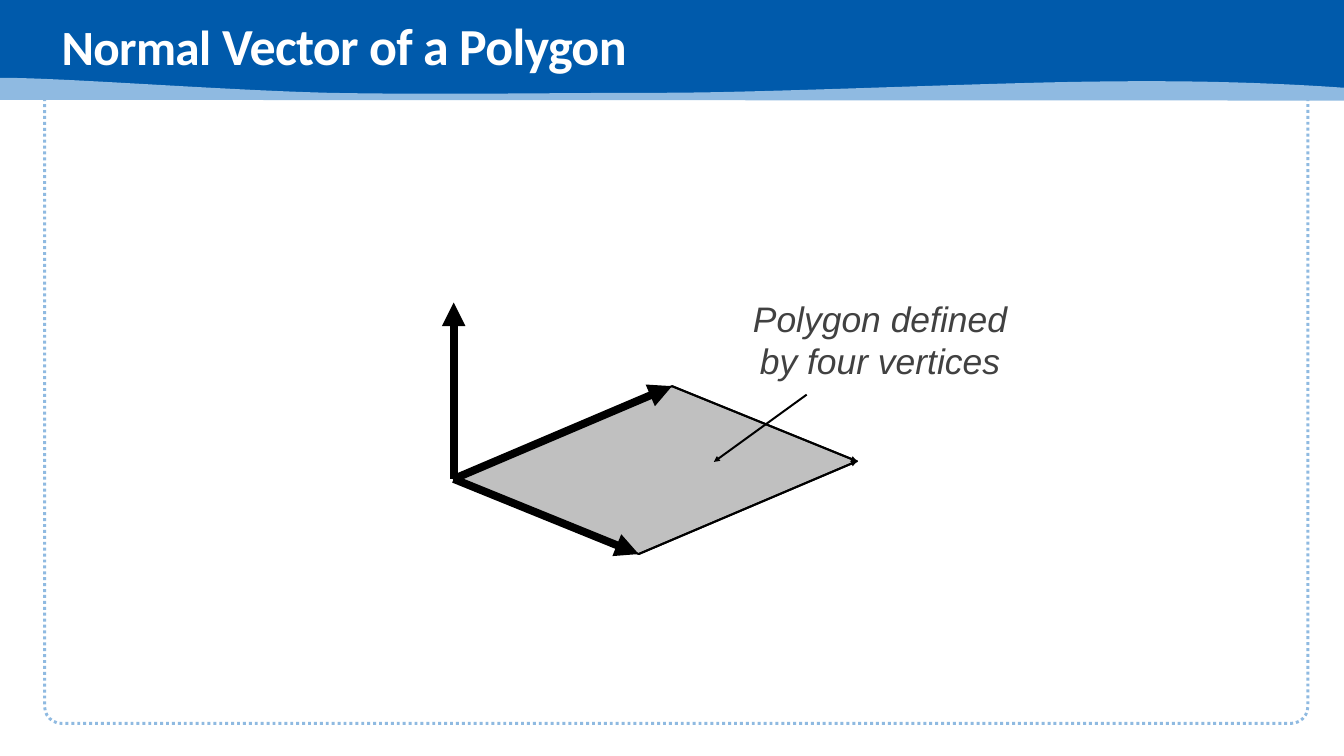
from lxml import etree
from pptx import Presentation
from pptx import util as u
from pptx.dml import color
from pptx.enum import dml, shapes, text
from pptx.oxml import ns

Pt = u.Pt
WHITE = color.RGBColor(0xFF, 0xFF, 0xFF)
BLACK = color.RGBColor(0x00, 0x00, 0x00)
BLUE = color.RGBColor(0x00, 0x5A, 0xAB)
LIGHT_BLUE = color.RGBColor(0x8F, 0xBA, 0xE1)
GREY = color.RGBColor(0xC0, 0xC0, 0xC0)
DARK_GREY = color.RGBColor(0x41, 0x41, 0x41)

WIDTH, HEIGHT = 1365.12, 768.24

# Lower edge of the header: each curve is two controls and an end point
WAVE_START = (1365.84, 89.28)
WAVE_CURVES = [
    ((1325.52, 86.4), (1241.28, 81.36), (1125.36, 82.8)),
    ((1010.16, 83.52), (782.64, 94.32), (670.32, 94.32)),
    ((558, 94.32), (444.96, 96.48), (332.64, 94.32)),
    ((221.04, 91.44), (56.16, 78.48), (0, 79.2)),
]
WAVE_BASE = [(-0.72, 101.52), (1365.84, 102.24)]

# Polygon corners and the tip of the normal
ORIGIN = (460.8, 486.72)
BACK = (682.56, 392.4)
FRONT = (648.72, 563.04)
OPPOSITE = tuple(b + f - o for b, f, o in zip(BACK, FRONT, ORIGIN))
NORMAL_TIP = (ORIGIN[0], 307.44)


def paint(shape, fill=None, line=None, weight=1):
    shape.shadow.inherit = False
    if fill is None:
        shape.fill.background()
    else:
        shape.fill.solid()
        shape.fill.fore_color.rgb = fill
    if line is None:
        shape.line.fill.background()
    else:
        shape.line.color.rgb = line
        shape.line.width = Pt(weight)


def add_preset(page, kind, left, top, width, height, **style):
    shape = page.shapes.add_shape(kind, Pt(left), Pt(top), Pt(width), Pt(height))
    paint(shape, **style)
    return shape


def add_outline(page, points, **style):
    corners = [(Pt(x), Pt(y)) for x, y in points]
    builder = page.shapes.build_freeform(*corners[0])
    builder.add_line_segments(corners[1:], close=True)
    paint(builder.convert_to_shape(), **style)


def add_arrow(page, start, end, weight):
    arrow = page.shapes.add_connector(
        shapes.MSO_CONNECTOR.STRAIGHT, *(Pt(value) for value in start + end))
    arrow.line.color.rgb = BLACK
    arrow.line.width = Pt(weight)
    properties = arrow.element.spPr
    line = properties.find(ns.qn("a:ln"))
    etree.SubElement(line, ns.qn("a:tailEnd"), type="triangle")
    etree.SubElement(properties, ns.qn("a:effectLst"))


def write(para, words, size, font, ink, bold=False, italic=False, spacing=0):
    for index, line in enumerate(words.split("\n")):
        if index:
            para.add_line_break()
        span = para.add_run()
        span.text = line
        span.font.size = Pt(size)
        span.font.name = font
        span.font.color.rgb = ink
        span.font.bold = bold
        span.font.italic = italic
        if spacing:
            span.font._element.set("spc", str(round(spacing * 100)))


def curve_points(start, curves, steps=24):
    points = [start]
    for first, second, end in curves:
        begin = points[-1]
        for step in range(1, steps + 1):
            t = step / steps
            s = 1 - t
            points.append(tuple(
                s**3 * a + 3 * s**2 * t * b + 3 * s * t**2 * c + t**3 * d
                for a, b, c, d in zip(begin, first, second, end)))
    return points


def add_background(page):
    frame = add_preset(page, shapes.MSO_SHAPE.ROUNDED_RECTANGLE,
                       45.36, 20.88, 1283.04, 714.24, line=LIGHT_BLUE, weight=3)
    frame.adjustments[0] = 0.024
    frame.line.dash_style = dml.MSO_LINE.ROUND_DOT
    add_preset(page, shapes.MSO_SHAPE.RECTANGLE, 0, 0, WIDTH, 100.8, fill=BLUE)
    wave = WAVE_BASE + curve_points(WAVE_START, WAVE_CURVES)
    add_outline(page, wave, fill=LIGHT_BLUE)


def add_title(page):
    title = page.shapes.title
    title.left, title.top = Pt(55.44), Pt(10.08)
    title.width, title.height = Pt(1262.88), Pt(79.92)
    # Bring the title in front of the header band
    title.element.getparent().append(title.element)
    frame = title.text_frame
    frame.auto_size = text.MSO_AUTO_SIZE.NONE
    frame.vertical_anchor = text.MSO_ANCHOR.MIDDLE
    para = frame.paragraphs[0]
    para.alignment = text.PP_ALIGN.LEFT
    para.line_spacing = 0.85
    for words, size in (("Normal", 50), (" Vector of a Polygon", 52.8)):
        write(para, words, size, "Calibri", WHITE, bold=True, spacing=-0.7)


def add_label(page, words, left, top, width, height):
    box = page.shapes.add_textbox(Pt(left), Pt(top), Pt(width), Pt(height))
    frame = box.text_frame
    frame.word_wrap = False
    frame.auto_size = text.MSO_AUTO_SIZE.SHAPE_TO_FIT_TEXT
    frame.vertical_anchor = text.MSO_ANCHOR.MIDDLE
    frame.margin_left = frame.margin_right = Pt(4.32)
    frame.margin_top = frame.margin_bottom = Pt(4.32)
    para = frame.paragraphs[0]
    para.alignment = text.PP_ALIGN.CENTER
    write(para, words, 36, "Arial", DARK_GREY, italic=True)


def main():
    deck = Presentation()
    deck.slide_width, deck.slide_height = Pt(WIDTH), Pt(HEIGHT)
    page = deck.slides.add_slide(deck.slide_layouts.get_by_name("Title Only"))

    # Header and frame
    add_background(page)
    add_title(page)

    # Polygon with its normal and edge vectors
    add_outline(page, [ORIGIN, FRONT, OPPOSITE, BACK],
                fill=GREY, line=BLACK, weight=2)
    for tip in (NORMAL_TIP, BACK, FRONT):
        add_arrow(page, ORIGIN, tip, 8)
    for corner in (BACK, FRONT):
        add_arrow(page, corner, OPPOSITE, 2)

    # Label and its pointer
    add_label(page, "Polygon defined\nby four vertices",
              759.6, 297.36, 268.56, 95.04)
    add_arrow(page, (819.36, 401.04), (725.04, 469.44), 2)

    deck.save("out.pptx")


if __name__ == "__main__":
    main()
